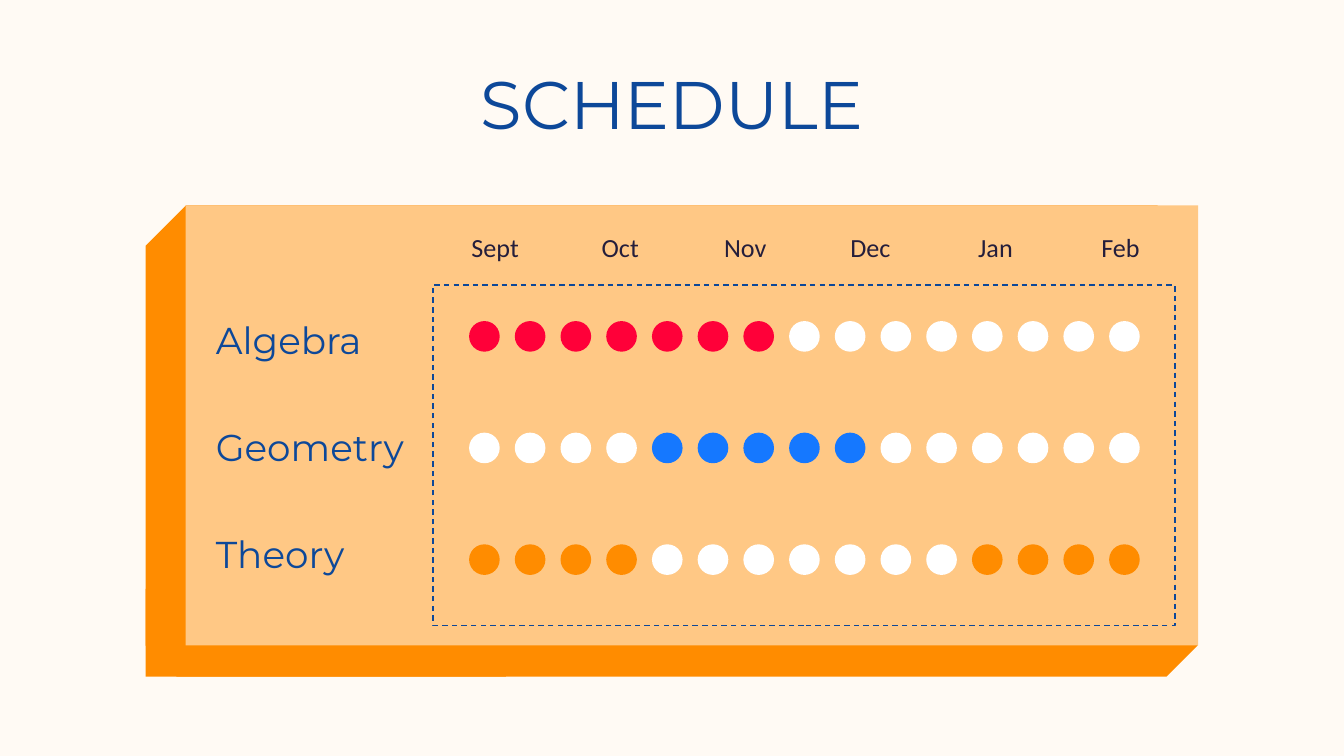
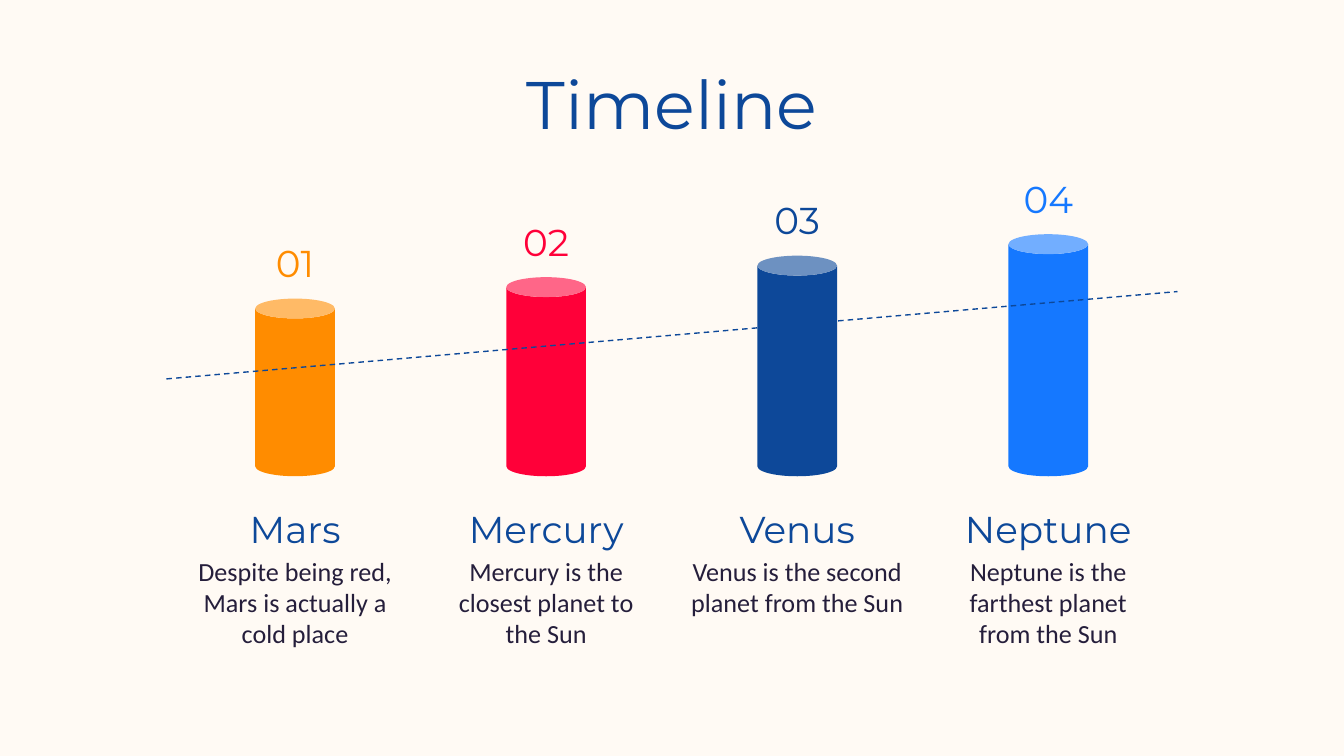
from lxml import etree
from pptx import Presentation
from pptx.dml.color import RGBColor
from pptx.enum import dml, shapes, text
from pptx.oxml.ns import qn
from pptx.util import Pt

COLORS = {"cream": "FFFAF4", "navy": "0D4899", "ink": "251E3B", "orange": "FF8C00",
          "peach": "FFC885", "red": "FF0039", "blue": "1578FF", "white": "FFFFFF"}
HEAD, BODY = "Montserrat", "Calibri"
INSET = 7.2
LEFT, CENTER = text.PP_ALIGN.LEFT, text.PP_ALIGN.CENTER
TOP, MIDDLE, BOTTOM = (text.MSO_ANCHOR.TOP, text.MSO_ANCHOR.MIDDLE,
                       text.MSO_ANCHOR.BOTTOM)
KIND = shapes.MSO_SHAPE


def rgb(name):
    return RGBColor.from_string(COLORS[name])


def dash(line):
    line.color.rgb = rgb("navy")
    line.width = Pt(0.75)
    line.dash_style = dml.MSO_LINE.DASH


def add_shape(s, kind, x, y, w, h, fill=None, adj=()):
    sp = s.shapes.add_shape(kind, Pt(x), Pt(y), Pt(w), Pt(h))
    sp.shadow.inherit = False
    for i, value in enumerate(adj):
        sp.adjustments[i] = value
    if fill:
        sp.fill.solid()
        sp.fill.fore_color.rgb = rgb(fill)
        sp.line.fill.background()
    else:
        sp.fill.background()
        dash(sp.line)
    return sp


def add_text(s, words, x, y, w, h, size, font=HEAD, color="navy",
             align=CENTER, anchor=TOP, after=None):
    tf = s.shapes.add_textbox(Pt(x), Pt(y), Pt(w), Pt(h)).text_frame
    tf.word_wrap = True
    tf.vertical_anchor = anchor
    tf.margin_left = tf.margin_right = tf.margin_top = tf.margin_bottom = Pt(INSET)
    p = tf.paragraphs[0]
    p.alignment = align
    if after:
        p.space_after = Pt(after)
    r = p.add_run()
    r.text = words
    r.font.size = Pt(size)
    r.font.name = font
    r.font.color.rgb = rgb(color)


def new_slide(prs, title):
    s = prs.slides.add_slide(prs.slide_layouts[6])
    s.background.fill.solid()
    s.background.fill.fore_color.rgb = rgb("cream")
    add_text(s, title, 195, 26, 330, 45.5, 36)
    return s


# Schedule: raised panel, month heads, one row of dots per subject
MONTHS = ["Sept", "Oct", "Nov", "Dec", "Jan", "Feb"]
DOTS = 15
SUBJECTS = [("Algebra", "red", range(7)),
            ("Geometry", "blue", range(4, 9)),
            ("Theory", "orange", [*range(4), *range(11, DOTS)])]


def panel(s, x, y, w, h):
    depth = 21.5
    add_shape(s, KIND.SNIP_2_SAME_RECTANGLE, x, y, w, h, "orange", (0.086, 0.066))
    add_shape(s, KIND.RECTANGLE, x, y + h - 47, 193, 47, "orange")
    add_shape(s, KIND.RECTANGLE, x + depth, y, w - depth + 0.25, h - 16.7, "peach")


def month_heads(s, x, y, w, h):
    step = w / len(MONTHS)
    for i, month in enumerate(MONTHS):
        add_text(s, month, x + i * step, y, step, h, 14, BODY, "ink", anchor=MIDDLE)


def subject_labels(s, x, y, w, step):
    for i, (name, _, _) in enumerate(SUBJECTS):
        add_text(s, name, x, y + i * step, w, 45.5, 20, align=LEFT)


def dot_grid(s, x, y, w, h):
    add_shape(s, KIND.RECTANGLE, x, y, w, h)
    size, dx, dy = 16.4, 24.49, 59.8
    for row, (_, color, active) in enumerate(SUBJECTS):
        for col in range(DOTS):
            add_shape(s, KIND.OVAL, x + 19.4 + col * dx, y + 19.3 + row * dy,
                      size, size, color if col in active else "white")


def schedule_slide(prs):
    s = new_slide(prs, "SCHEDULE")
    panel(s, 78, 110, 563.6, 252.5)
    month_heads(s, 231.8, 116, 402, 33)
    subject_labels(s, 108.5, 162.7, 117.5, 57.3)
    dot_grid(s, 231.9, 152.7, 397.5, 182.3)


# Timeline: rising cylinders, trend line, captions
PLANETS = [
    ("Mars", "orange", "Despite being red, Mars is actually a cold place"),
    ("Mercury", "red", "Mercury is the closest planet to the Sun"),
    ("Venus", "navy", "Venus is the second planet from the Sun"),
    ("Neptune", "blue", "Neptune is the farthest planet from the Sun"),
]


def cylinders(s, x, base, step):
    w, label_h = 42.7, 30.2
    for i, (_, color, _) in enumerate(PLANETS):
        h = 95.2 + 11.5 * i
        left, top = x + i * step - w / 2, base - h
        add_shape(s, KIND.CAN, left, top, w, h, color, (0.25,))
        add_text(s, f"{i + 1:02}", left, top - label_h, w, label_h, 20,
                 color=color, anchor=BOTTOM)


def trend_line(s, x1, y1, x2, y2):
    cn = s.shapes.add_connector(shapes.MSO_CONNECTOR.STRAIGHT,
                                Pt(x1), Pt(y1), Pt(x2), Pt(y2))
    dash(cn.line)
    etree.SubElement(cn._element.spPr, qn("a:effectLst"))


def captions(s, x, y, step):
    name_w, note_w = 131, 128.2
    for i, (name, _, note) in enumerate(PLANETS):
        mid = x + i * step
        add_text(s, name, mid - name_w / 2, y, name_w, 30.2, 20, anchor=BOTTOM)
        add_text(s, note, mid - note_w / 2, y + 18, note_w, 64, 14, BODY, "ink",
                 after=16)


def timeline_slide(prs):
    s = new_slide(prs, "Timeline")
    first, step = 158.1, 134.5
    cylinders(s, first, 255.2, step)
    trend_line(s, 89.2, 203, 630.8, 156.2)
    captions(s, first, 272.2, step)


def main():
    prs = Presentation()
    prs.slide_width, prs.slide_height = Pt(720), Pt(405)
    schedule_slide(prs)
    timeline_slide(prs)
    prs.save("out.pptx")


if __name__ == "__main__":
    main()
